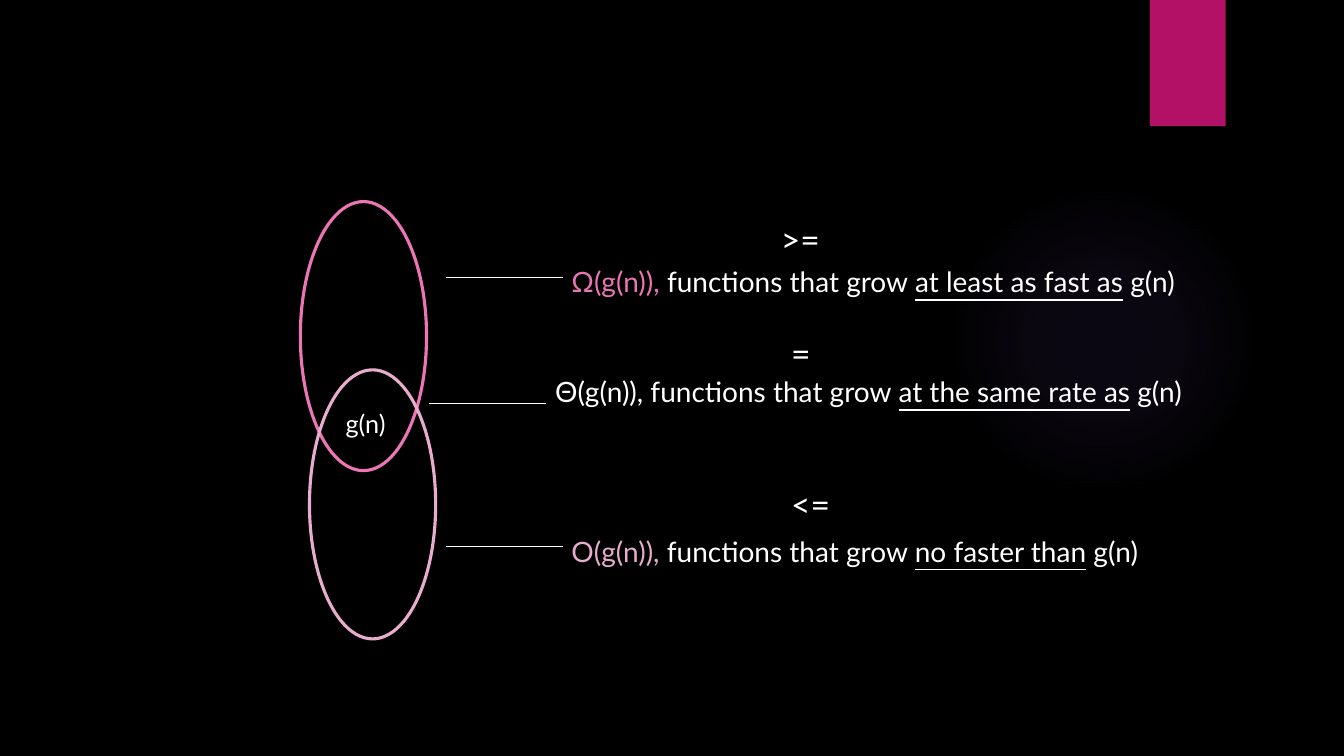
"""Builds a slide relating the Omega, Theta and O growth classes of g(n)."""
from lxml.etree import SubElement
from pptx import Presentation
from pptx.dml.color import RGBColor as Color
from pptx.enum.shapes import MSO_CONNECTOR as Connector, MSO_SHAPE as Shape
from pptx.enum.text import MSO_AUTO_SIZE as AutoSize
from pptx.oxml import parse_xml
from pptx.oxml.ns import nsdecls, qn
from pptx.util import Cm, Pt

THEME = {
    "font": "Lato", "background": "000000", "text": "FFFFFF", "banner": "B31166",
    "omega": "EC76B5", "big_o": "E8ACCD", "glow": "9B6BF2",
    "statement": 20, "label": 18, "sign": 24, "outline": 2.25, "rule": 0.75,
}
GLOW_STOPS = [(0, 7), (36, 6), (69, 0)]
GLOW_BOX = (23.9, 4.65, 7.82, 7.82)
BANNER_BOX = (28.98, 0, 1.91, 3.18)
SET_SIZE = (3.18, 6.78)
SETS = [("omega", 7.57, 5.08), ("big_o", 7.8, 9.32)]
STATEMENTS = [
    {"name": "Ω(g(n)),", "color": "omega", "rate": "at least as fast as",
     "box": (14.15, 6.55, 17.04), "rule": (11.23, 6.99),
     "sign": ">=", "sign_box": (19.43, 5.38, 1.75)},
    {"name": "Θ(g(n)),", "color": "text", "rate": "at the same rate as",
     "box": (13.74, 9.32, 17.65), "rule": (10.8, 10.16),
     "sign": "=", "sign_box": (19.69, 8.26, 1.12)},
    {"name": "O(g(n)),", "color": "big_o", "rate": "no faster than",
     "box": (14.15, 13.34, 15.9), "rule": (11.23, 13.77),
     "sign": "<=", "sign_box": (19.69, 12.07, 1.75)},
]
RULE_LENGTH = 2.96
LABEL, LABEL_BOX = "g(n)", (8.46, 10.16, 1.7)
HEIGHTS = {"statement": 1.12, "label": 1.02, "sign": 1.27}


def theme_color(key):
    return Color.from_string(THEME[key])


def add_figure(page, kind, box, fill=None, outline=None):
    figure = page.shapes.add_shape(kind, *map(Cm, box))
    figure.shadow.inherit = False
    if fill:
        figure.fill.solid()
        figure.fill.fore_color.rgb = theme_color(fill)
    else:
        figure.fill.background()
    if outline:
        figure.line.color.rgb = theme_color(outline)
        figure.line.width = Pt(THEME["outline"])
    else:
        figure.line.fill.background()
    return figure


def add_glow(page):
    glow = add_figure(page, Shape.OVAL, GLOW_BOX)
    stops = "".join(
        f'<a:gs pos="{place * 1000}"><a:srgbClr val="{THEME["glow"]}">'
        f'<a:alpha val="{alpha * 1000}"/></a:srgbClr></a:gs>'
        for place, alpha in GLOW_STOPS)
    gradient = parse_xml(
        f'<a:gradFill {nsdecls("a")} rotWithShape="1"><a:gsLst>{stops}</a:gsLst>'
        '<a:path path="circle"><a:fillToRect l="50000" t="50000" r="50000" b="50000"/>'
        '</a:path></a:gradFill>')
    properties = glow.element.spPr
    properties.replace(properties.find(qn("a:noFill")), gradient)


def add_text(page, spans, box, size):
    frame = page.shapes.add_textbox(*map(Cm, (*box, HEIGHTS[size]))).text_frame
    frame.word_wrap = False
    frame.auto_size = AutoSize.SHAPE_TO_FIT_TEXT
    para = frame.paragraphs[0]
    for text, color, underline in spans:
        span = para.add_run()
        span.text = text
        span.font.color.rgb = theme_color(color)
        formats = {"name": THEME["font"], "size": Pt(THEME[size]), "underline": underline}
        for name, value in formats.items():
            setattr(span.font, name, value)


def add_rule(page, left, top):
    ends = map(Cm, (left, top, left + RULE_LENGTH, top))
    rule = page.shapes.add_connector(Connector.STRAIGHT, *ends)
    rule.line.color.rgb = theme_color("text")
    rule.line.width = Pt(THEME["rule"])
    SubElement(rule.element.spPr, qn("a:effectLst"))


def main():
    deck = Presentation()
    deck.slide_width, deck.slide_height = Cm(33.87), Cm(19.05)
    page = deck.slides.add_slide(deck.slide_layouts[6])
    page.background.fill.solid()
    page.background.fill.fore_color.rgb = theme_color("background")
    add_glow(page)
    add_figure(page, Shape.RECTANGLE, BANNER_BOX, fill="banner")
    for color, left, top in SETS:
        add_figure(page, Shape.OVAL, (left, top, *SET_SIZE), outline=color)
    for item in STATEMENTS:
        spans = [(item["name"], item["color"], None),
                 (" functions that grow ", "text", None),
                 (item["rate"], "text", True),
                 (" g(n)", "text", None)]
        add_text(page, spans, item["box"], "statement")
        add_rule(page, *item["rule"])
        add_text(page, [(item["sign"], "text", None)], item["sign_box"], "sign")
    add_text(page, [(LABEL, "text", None)], LABEL_BOX, "label")
    deck.save("out.pptx")


if __name__ == "__main__":
    main()
